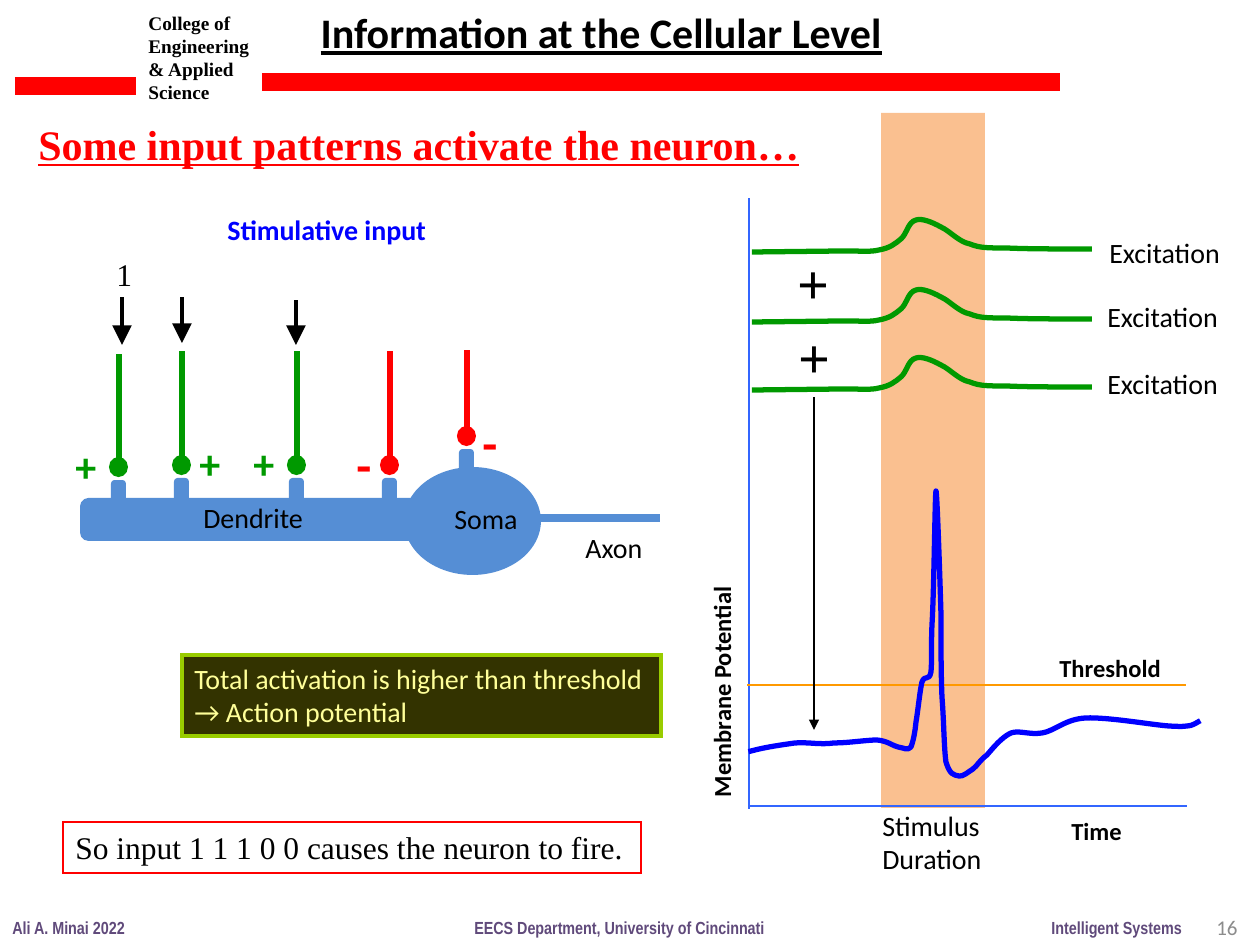
from dataclasses import dataclass

from lxml.etree import SubElement
from pptx import Presentation
from pptx.dml.color import RGBColor
from pptx.enum.shapes import MSO_CONNECTOR as CONN, MSO_SHAPE as SHAPE
from pptx.enum.text import MSO_ANCHOR as ANCHOR, MSO_AUTO_SIZE as FIT, PP_ALIGN as ALIGN
from pptx.oxml.ns import qn
from pptx.util import Pt

PX = 914400 / 126  # EMU per px


@dataclass(frozen=True)
class Theme:
    black: str = "000000"
    red: str = "FF0000"
    green: str = "009900"
    blue: str = "0000FF"
    axis: str = "3366FF"
    cell: str = "558ED5"
    band: str = "FAC090"
    threshold: str = "FF9900"
    note_fill: str = "333300"
    note_line: str = "99CC00"
    note_text: str = "FFFF99"
    footer: str = "604A7B"
    page: str = "8C8C8C"
    sans: str = "Calibri"
    serif: str = "Times New Roman"
    narrow: str = "Arial Narrow"
    plus: int = 32
    minus: int = 28
    title: int = 24
    serif_body: int = 18
    label: int = 16
    axis_label: int = 14
    page_size: int = 12
    college: int = 11
    footer_size: int = 10


T = Theme()

# Curves in px: a start point, then two controls and an end per segment
EXCITATION_LEAD = (752, 252)
EXCITATION = [
    (843, 251), (864, 251), (871, 252), (879, 250),
    (890, 248), (895, 244), (901, 239), (907, 234), (908, 222), (916, 220),
    (922, 218), (932, 222), (941, 227), (950, 231), (959, 242), (970, 244),
    (980, 248), (987, 248), (1007, 248), (1027, 249), (1060, 249), (1092, 249)]
POTENTIAL = [
    (751, 751), (766, 747), (781, 745), (795, 743), (809, 742), (820, 745), (834, 743),
    (848, 743), (867, 740), (877, 740), (888, 741), (893, 746), (898, 747),
    (905, 748), (907, 751), (911, 747), (913, 742), (915, 733), (916, 722),
    (918, 711), (920, 690), (922, 682), (925, 674), (929, 682), (931, 672),
    (932, 662), (931, 654), (932, 625), (934, 595), (935, 493), (936, 491),
    (937, 489), (940, 580), (941, 614), (941, 648), (941, 673), (942, 697),
    (944, 722), (944, 748), (946, 762), (950, 775), (954, 775), (959, 776),
    (963, 777), (968, 772), (973, 769), (978, 765), (979, 761), (987, 755),
    (993, 748), (1002, 737), (1011, 733), (1019, 730), (1029, 735), (1042, 733),
    (1055, 731), (1065, 719), (1086, 718), (1108, 717), (1153, 725), (1169, 726),
    (1187, 727), (1182, 726), (1187, 726), (1192, 726), (1196, 723), (1198, 722)]


def emu(*px):
    return [round(v * PX) for v in px]


def rgb(color):
    return RGBColor.from_string(color)


def put_text(s, text, size=T.label, font=T.sans, color=T.black, bold=False, underline=False,
             align=ALIGN.LEFT, anchor=ANCHOR.TOP, wrap=False):
    tf = s.text_frame
    tf.word_wrap, tf.auto_size, tf.vertical_anchor = wrap, FIT.NONE, anchor
    for i, line in enumerate(text.split("\n")):
        p = tf.add_paragraph() if i else tf.paragraphs[0]
        p.alignment = align
        r = p.add_run()
        r.text = line
        r.font.size, r.font.name = Pt(size), font
        r.font.bold, r.font.underline = bold, underline
        r.font.color.rgb = rgb(color)


def label(sp, at, text, **fmt):
    s = sp.add_textbox(*emu(*at))
    put_text(s, text, **fmt)
    return s


def stroke(s, color, width, square=False):
    s.line.color.rgb, s.line.width = rgb(color), Pt(width)
    ln = s.line._get_or_add_ln()
    if square:
        ln.set("cap", "sq")
    return ln


def block(sp, kind, at, fill=None, line=None, width=2.25):
    s = sp.add_shape(kind, *emu(*at))
    s.shadow.inherit = False
    if fill:
        s.fill.solid()
        s.fill.fore_color.rgb = rgb(fill)
    else:
        s.fill.background()
    if line:
        SubElement(stroke(s, line, width), qn("a:miter"), lim="800000")
    else:
        s.line.fill.background()
    return s


def rule(sp, x1, y1, x2, y2, color, width, head=None, square=False):
    s = sp.add_connector(CONN.STRAIGHT, *emu(x1, y1, x2, y2))
    ln = stroke(s, color, width, square)
    if head:
        SubElement(ln, qn("a:tailEnd"), type="triangle", w=head, len=head)
    SubElement(s._element.spPr, qn("a:effectLst"))


def curve(sp, points, color, dy=0, lead=None, square=False):
    """Draw chained cubic segments, after an optional straight lead-in."""
    points = [emu(x, y + dy) for x, y in points]
    knots = points[::3]
    if lead:
        knots.insert(0, emu(lead[0], lead[1] + dy))
    fb = sp.build_freeform(*knots[0])
    fb.add_line_segments(knots[1:], close=False)
    s = fb.convert_to_shape()
    # Turn the straight segments between the knots into cubic ones
    path = s._element.spPr.find(".//" + qn("a:path"))
    for seg in path.findall(qn("a:lnTo"))[1 if lead else 0:]:
        path.remove(seg)
    for i in range(1, len(points), 3):
        bezier = SubElement(path, qn("a:cubicBezTo"))
        for x, y in points[i:i + 3]:
            SubElement(bezier, qn("a:pt"), x=str(x - s.left), y=str(y - s.top))
    s.shadow.inherit = False
    s.fill.background()
    stroke(s, color, 3, square)


def synapse(sp, x, top, bottom, color):
    block(sp, SHAPE.ROUNDED_RECTANGLE, (x - 6, bottom + 26, 11, 23), T.cell, T.cell)
    rule(sp, x, top, x, bottom, color, 3.5, square=True)
    block(sp, SHAPE.OVAL, (x - 8, bottom + 3, 15, 16), color, color)


def frame(slide):
    sp = slide.shapes
    # Header
    label(sp, (136, 5, 137, 106), "College of Engineering & Applied\nScience",
          size=T.college, font=T.serif, bold=True, wrap=True)
    rule(sp, 15, 86, 136, 86, T.red, 10)
    rule(sp, 262, 82, 1060, 82, T.red, 10)
    title = sp.title
    title.left, title.top, title.width, title.height = emu(308, 0, 622, 63)
    put_text(title, "Information at the Cellular Level", size=T.title, bold=True, underline=True)
    label(sp, (26, 112, 794, 63), "Some input patterns activate the neuron…",
          size=T.title, font=T.serif, color=T.red, bold=True, underline=True)
    # Footer
    for x, w, text in ((0, 139, "Ali A. Minai 2022"), (1039, 156, "Intelligent Systems"),
                       (462, 318, "EECS Department, University of Cincinnati")):
        label(sp, (x, 911, w, 34), text, size=T.footer_size, font=T.narrow,
              color=T.footer, bold=True)
    label(sp, (956, 902, 294, 50), "16", size=T.page_size, color=T.page,
          align=ALIGN.RIGHT, anchor=ANCHOR.MIDDLE, wrap=True)


def neuron(sp):
    # Cell body, dendrite and axon
    block(sp, SHAPE.OVAL, (406, 469, 133, 104), T.cell, T.cell)
    block(sp, SHAPE.ROUNDED_RECTANGLE, (82, 500, 336, 39), T.cell, T.cell)
    rule(sp, 523, 518, 656, 518, T.cell, 5, square=True)
    # Inputs with their signs
    for x, top, bottom, color in ((119, 357, 456, T.green), (182, 354, 454, T.green),
                                  (297, 354, 454, T.green), (390, 354, 454, T.red),
                                  (467, 353, 425, T.red)):
        synapse(sp, x, top, bottom, color)
    for x, y in ((63, 434), (187, 431), (241, 431)):
        label(sp, (x, y, 48, 63), "+", size=T.title, color=T.green, bold=True)
    for x, y in ((344, 428), (470, 406)):
        label(sp, (x, y, 40, 72), "-", size=T.minus, color=T.red, bold=True)
    for x, top, bottom in ((122, 299, 345), (182, 299, 343), (296, 302, 345)):
        rule(sp, x, top, x, bottom, T.black, 2.25, head="lg", square=True)
    # Labels
    label(sp, (104, 249, 42, 50), "1", size=T.serif_body, font=T.serif)
    label(sp, (215, 206, 227, 47), "Stimulative input", color=T.blue, bold=True)
    for x, y, w, text in ((191, 494, 126, "Dendrite"), (442, 495, 89, "Soma"),
                          (573, 524, 83, "Axon")):
        label(sp, (x, y, w, 47), text)


def plot(sp):
    # Axes and threshold
    rule(sp, 750, 806, 1186, 806, T.axis, 1, square=True)
    rule(sp, 749, 808, 749, 199, T.axis, 1, square=True)
    rule(sp, 748, 685, 1185, 685, T.threshold, 1.5, square=True)
    axis_text = dict(size=T.axis_label, bold=True)
    label(sp, (601, 667, 242, 43), "Membrane Potential", wrap=True, **axis_text).rotation = 270
    label(sp, (1047, 647, 127, 43), "Threshold", **axis_text)
    label(sp, (1059, 810, 77, 43), "Time", **axis_text)
    label(sp, (870, 802, 126, 81), "Stimulus\nDuration")
    # Summed inputs and the resulting potential
    for dy, x, y in ((0, 1097, 229), (70, 1095, 293), (138, 1095, 360)):
        curve(sp, EXCITATION, T.green, dy, lead=EXCITATION_LEAD)
        label(sp, (x, y, 137, 47), "Excitation")
    for x, y in ((785, 242), (786, 316)):
        label(sp, (x, y, 57, 81), "+", size=T.plus, font=T.serif, bold=True)
    rule(sp, 814, 397, 814, 730, T.black, 1.5, head="med")
    curve(sp, POTENTIAL, T.blue, square=True)


def conclusions(sp):
    s = block(sp, SHAPE.RECTANGLE, (182, 655, 479, 81), T.note_fill, T.note_line)
    put_text(s, "Total activation is higher than threshold\n→ Action potential",
             color=T.note_text)
    s = block(sp, SHAPE.RECTANGLE, (63, 822, 578, 51), line=T.red, width=0.75)
    put_text(s, "So input 1 1 1 0 0 causes the neuron to fire.", size=T.serif_body, font=T.serif)


def main():
    prs = Presentation()
    prs.slide_width, prs.slide_height = emu(1260, 945)
    slide = prs.slides.add_slide(prs.slide_layouts[5])
    sp = slide.shapes
    # Stimulus band lies behind the plot and the headings
    block(sp, SHAPE.RECTANGLE, (881, 113, 104, 695), T.band)
    frame(slide)
    neuron(sp)
    plot(sp)
    conclusions(sp)
    prs.save("out.pptx")


if __name__ == "__main__":
    main()
